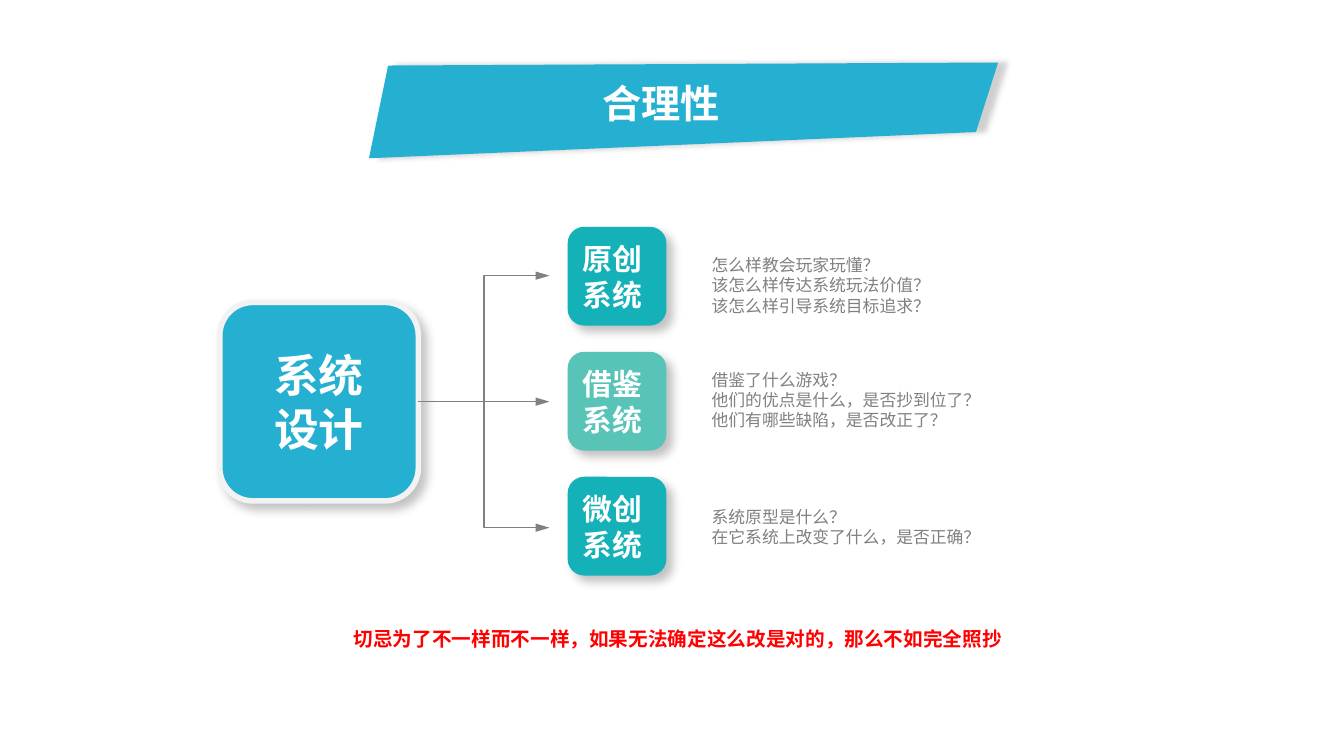
import pptx
import pptx.util
import pptx.dml.color
import pptx.enum.shapes
import pptx.enum.text
import pptx.oxml
import pptx.oxml.ns
import lxml.etree

Inches = pptx.util.Inches
Pt = pptx.util.Pt
SHAPE = pptx.enum.shapes.MSO_SHAPE
CONNECTOR = pptx.enum.shapes.MSO_CONNECTOR
ALIGN = pptx.enum.text.PP_ALIGN
ANCHOR = pptx.enum.text.MSO_ANCHOR
qn = pptx.oxml.ns.qn

TITLE = "合理性"
ROOT = ["系统", "设计"]
BRANCHES = [
    ("原创系统", "teal", 2.48, 0.71,
     ["怎么样教会玩家玩懂？", "该怎么样传达系统玩法价值？", "该怎么样引导系统目标追求？"]),
    ("借鉴系统", "mint", 3.62, 0.71,
     ["借鉴了什么游戏？", "他们的优点是什么，是否抄到位了？", "他们有哪些缺陷，是否改正了？"]),
    ("微创系统", "teal", 4.98, 0.5,
     ["系统原型是什么？", "在它系统上改变了什么，是否正确？"]),
]
WARNING = "切忌为了不一样而不一样，如果无法确定这么改是对的，那么不如完全照抄"
BANNER = [(3.85, 0.65), (3.66, 1.57), (9.68, 1.31), (9.9, 0.62)]

FONT = "Noto Sans CJK SC"
COLORS = {"blue": "25B0D2", "teal": "15B1B8", "mint": "58C4B8", "frame": "F2F2F2",
          "gray": "808080", "white": "FFFFFF", "red": "FF0000", "shadow": "000000"}

ROOT_X, ROOT_Y, ROOT_SIZE = 2.18, 3, 1.97
BOX_X, BOX_Y, BOX_SIZE, BOX_STEP = 5.63, 2.25, 0.98, 1.24
ARROW_END, ARROW_STEP = 5.45, 1.25
NOTE_X, NOTE_W = 6.96, 4.32


def rgb(name):
    return pptx.dml.color.RGBColor.from_string(COLORS[name])


def write(tf, lines, size, color, bold=False, align=ALIGN.LEFT, anchor=ANCHOR.TOP, spacing=1.2):
    tf.word_wrap = True
    tf.vertical_anchor = anchor
    for i, line in enumerate(lines):
        p = tf.paragraphs[0] if i == 0 else tf.add_paragraph()
        p.alignment = align
        p.line_spacing = Pt(round(size * spacing, 1))
        r = p.add_run()
        r.text = line
        r.font.name = FONT
        r.font.size = Pt(size)
        r.font.bold = bold
        r.font.color.rgb = rgb(color)
        ea = lxml.etree.SubElement(r.font._element, qn("a:ea"))
        ea.set("typeface", FONT)


def paint(sp, fill, alpha, blur, distance, angle, frame=None):
    sp.fill.solid()
    sp.fill.fore_color.rgb = rgb(fill)
    if frame:
        sp.line.color.rgb = rgb(frame)
        sp.line.width = Pt(4)
    else:
        sp.line.fill.background()
    sp.shadow.inherit = False
    effects = sp.element.spPr.find(qn("a:effectLst"))
    shadow = lxml.etree.SubElement(effects, qn("a:outerShdw"), blurRad=str(Pt(blur)),
                                   dist=str(Pt(distance)), dir=str(angle * 60000),
                                   algn="tl", rotWithShape="0")
    tint = lxml.etree.SubElement(shadow, qn("a:srgbClr"), val=COLORS["shadow"])
    lxml.etree.SubElement(tint, qn("a:alpha"), val=str(alpha * 1000))


def rounded_box(s, x, y, size, fill, frame=None):
    sp = s.shapes.add_shape(SHAPE.ROUNDED_RECTANGLE, Inches(x), Inches(y), Inches(size), Inches(size))
    paint(sp, fill, 23, 7, 5.9, 45, frame)
    return sp


def arrow(s, kind, x1, y1, x2, y2):
    c = s.shapes.add_connector(kind, Inches(x1), Inches(y1), Inches(x2), Inches(y2))
    c.line.color.rgb = rgb("gray")
    c.line.width = Pt(1)
    lxml.etree.SubElement(c.line._get_or_add_ln(), qn("a:tailEnd"), type="triangle", w="med", len="lg")
    lxml.etree.SubElement(c.element.spPr, qn("a:effectLst"))


def text_box(s, x, y, w, h):
    return s.shapes.add_textbox(Inches(x), Inches(y), Inches(w), Inches(h)).text_frame


def main():
    prs = pptx.Presentation()
    prs.slide_width, prs.slide_height = Inches(13.33), Inches(7.5)
    s = prs.slides.add_slide(prs.slide_layouts[5])

    points = [(Inches(x), Inches(y)) for x, y in BANNER]
    outline = s.shapes.build_freeform(*points[0])
    outline.add_line_segments(points[1:], close=True)
    banner = outline.convert_to_shape()
    paint(banner, "blue", 19, 4, 6, 0)

    title = s.shapes.title
    title.element.addprevious(banner.element)
    title.left, title.top, title.width, title.height = map(Inches, (5.56, 0.74, 2, 0.57))
    write(title.text_frame, [TITLE], 28, "white", True, ALIGN.CENTER, ANCHOR.MIDDLE)

    write(text_box(s, 2.18, 6.05, 9.09, 0.42), [WARNING], 14, "red", True, ALIGN.CENTER, spacing=1.8)

    root = rounded_box(s, ROOT_X, ROOT_Y, ROOT_SIZE, "blue", "frame")
    write(root.text_frame, ROOT, 32, "white", True, ALIGN.CENTER, ANCHOR.MIDDLE)

    start_x, start_y = ROOT_X + ROOT_SIZE, ROOT_Y + ROOT_SIZE / 2
    for i, (name, fill, note_y, note_h, questions) in enumerate(BRANCHES):
        kind = CONNECTOR.STRAIGHT if i == 1 else CONNECTOR.ELBOW
        arrow(s, kind, start_x, start_y, ARROW_END, start_y + (i - 1) * ARROW_STEP)
        box = rounded_box(s, BOX_X, BOX_Y + i * BOX_STEP, BOX_SIZE, fill)
        write(box.text_frame, [name], 21.3, "white", True, anchor=ANCHOR.MIDDLE)
        write(text_box(s, NOTE_X, note_y, NOTE_W, note_h), questions, 12, "gray")

    prs.save("out.pptx")


if __name__ == "__main__":
    main()
